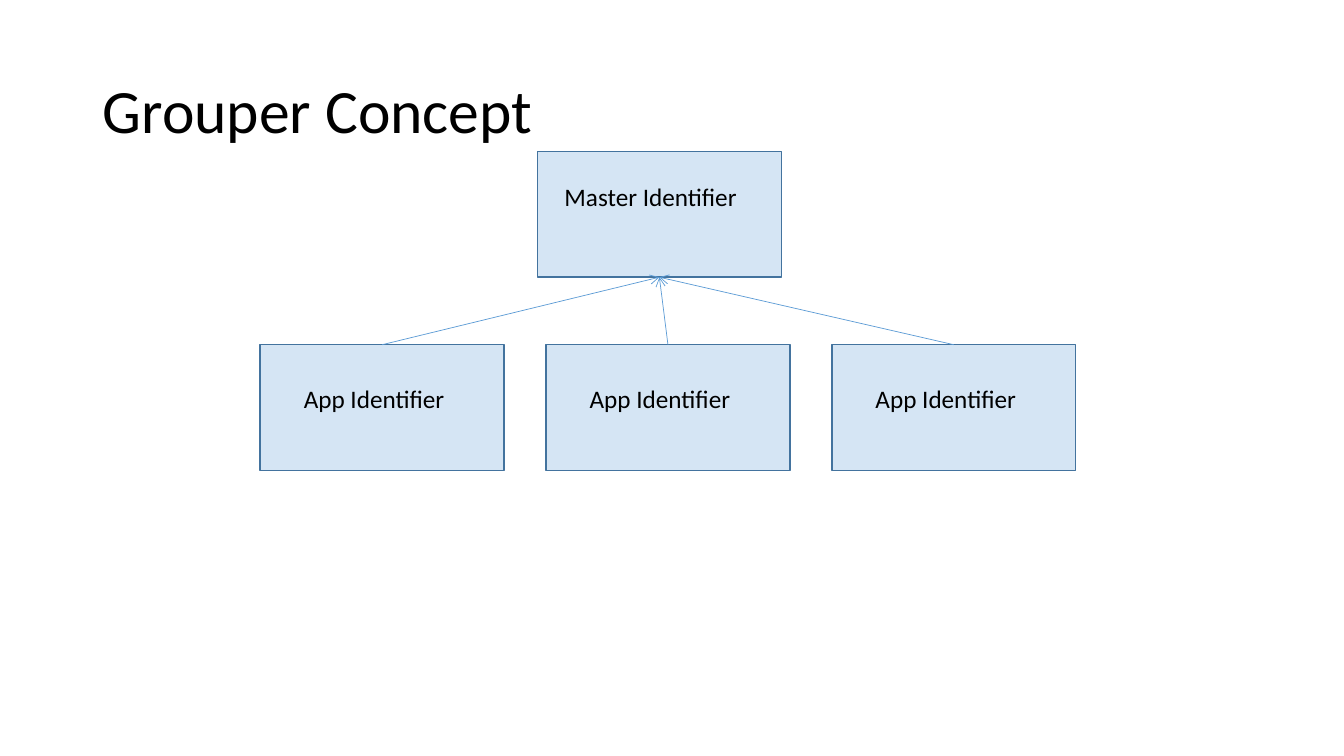
import dataclasses
import typing

import pptx
import pptx.dml.color
import pptx.enum.shapes
import pptx.enum.text
import pptx.oxml
import pptx.oxml.ns
import pptx.util

Inches = pptx.util.Inches
Pt = pptx.util.Pt
WIDE, HIGH = 2.42, 1.25
BLUE, EDGE, BLACK = "5B9BD5", "43739E", "000000"


@dataclasses.dataclass
class Node:
    text: str
    left: float
    top: float
    inset: float
    drop: float
    span: float


MASTER = Node("Master Identifier", 5.33, 1.5, 0.17, 0.25, 1.93)
APPS = [
    Node("App Identifier", 2.58 + 2.835 * i, 3.42, 0.335, 0.33, 1.67)
    for i in range(3)
]


def color(code: str) -> pptx.dml.color.RGBColor:
    return pptx.dml.color.RGBColor.from_string(code)


def assign(item: typing.Any, values: dict[str, typing.Any]) -> None:
    for name, value in values.items():
        setattr(item, name, value)


def element(tag: str, **values: str) -> typing.Any:
    node = pptx.oxml.parse_xml(f"<a:{tag} {pptx.oxml.ns.nsdecls('a')}/>")
    for name, value in values.items():
        node.set(name, value)
    return node


def write(frame: typing.Any, text: str, size: float) -> None:
    frame.text = text
    font = frame.paragraphs[0].runs[0].font
    assign(font, {"name": "Calibri", "size": Pt(size)})
    font.color.rgb = color(BLACK)


def draw_node(slide: typing.Any, node: Node) -> typing.Any:
    box = slide.shapes.add_shape(
        pptx.enum.shapes.MSO_SHAPE.RECTANGLE,
        Inches(node.left), Inches(node.top), Inches(WIDE), Inches(HIGH),
    )
    box.shadow.inherit = False
    box.fill.solid()
    box.fill.fore_color.rgb = color(BLUE)
    tint = box._element.spPr.find(
        f"{pptx.oxml.ns.qn('a:solidFill')}/{pptx.oxml.ns.qn('a:srgbClr')}"
    )
    tint.append(element("alpha", val="25000"))
    box.line.color.rgb = color(EDGE)
    box.line.width = Pt(1)
    label = slide.shapes.add_textbox(
        Inches(node.left + node.inset), Inches(node.top + node.drop),
        Inches(node.span), Inches(0.4),
    )
    assign(label.text_frame, {
        "word_wrap": False,
        "auto_size": pptx.enum.text.MSO_AUTO_SIZE.SHAPE_TO_FIT_TEXT,
    })
    write(label.text_frame, node.text, 18)
    return box


def draw_link(slide: typing.Any, child: typing.Any, parent: typing.Any) -> None:
    link = slide.shapes.add_connector(
        pptx.enum.shapes.MSO_CONNECTOR.STRAIGHT, 0, 0, 0, 0
    )
    link.begin_connect(child, 0)
    link.end_connect(parent, 2)
    link.line.color.rgb = color(BLUE)
    link.line.width = Pt(0.5)
    props = link._element.spPr
    props.find(pptx.oxml.ns.qn("a:ln")).append(element("tailEnd", type="arrow"))
    props.append(element("effectLst"))


def draw_title(slide: typing.Any, text: str) -> None:
    title = slide.shapes.title
    assign(title, {
        "left": Inches(0.92), "top": Inches(0.4),
        "width": Inches(11.5), "height": Inches(1.45),
    })
    write(title.text_frame, text, 44)
    assign(title.text_frame, {
        "word_wrap": True,
        "vertical_anchor": pptx.enum.text.MSO_ANCHOR.MIDDLE,
    })
    assign(title.text_frame.paragraphs[0], {
        "alignment": pptx.enum.text.PP_ALIGN.LEFT, "line_spacing": 0.9,
    })


def main() -> None:
    deck = pptx.Presentation()
    assign(deck, {"slide_width": Inches(13.33), "slide_height": Inches(7.5)})
    slide = deck.slides.add_slide(deck.slide_layouts[5])
    draw_title(slide, "Grouper Concept")
    master = draw_node(slide, MASTER)
    apps = [draw_node(slide, node) for node in APPS]
    for app in apps:
        draw_link(slide, app, master)
    deck.save("out.pptx")


if __name__ == "__main__":
    main()
